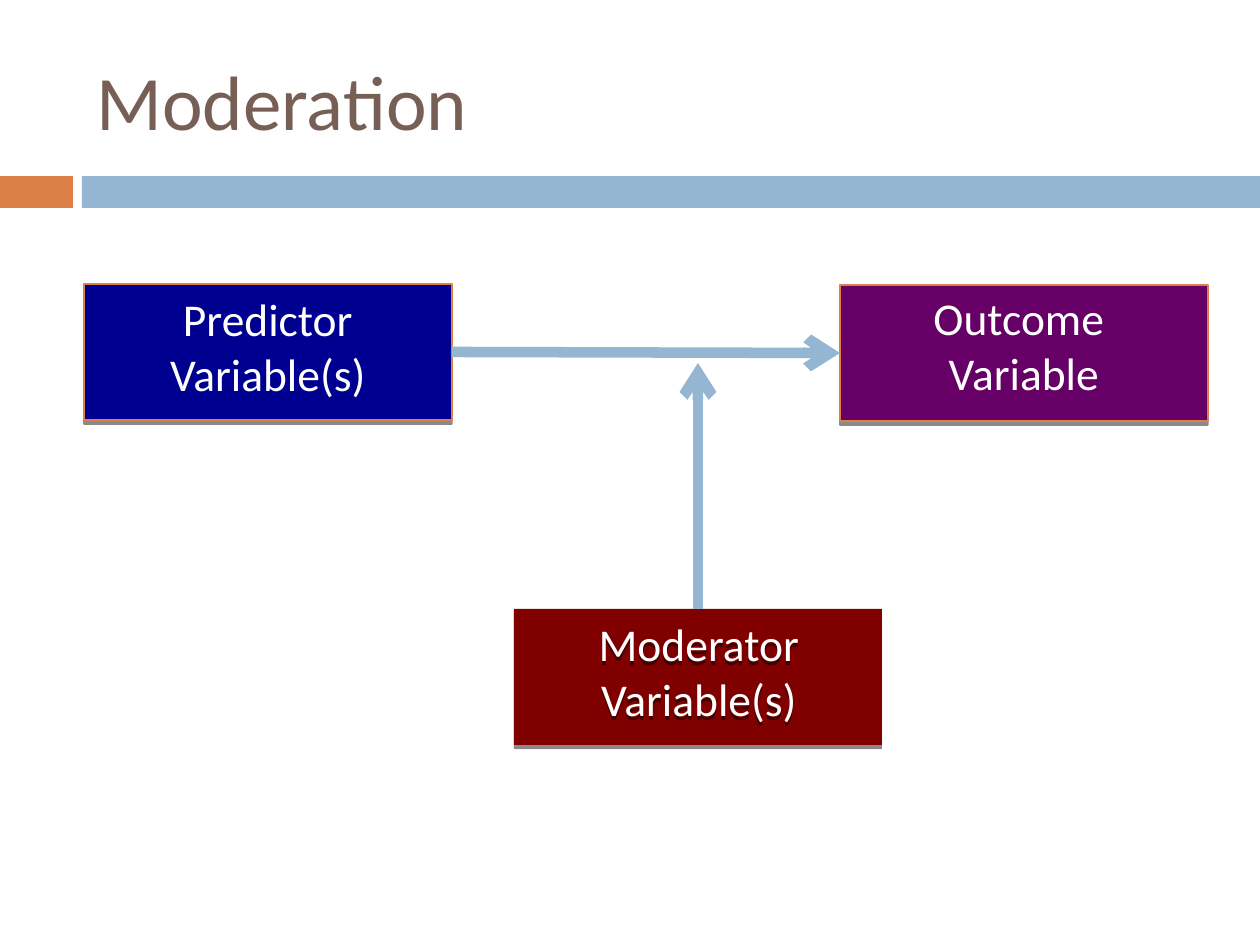
from lxml import etree
from pptx import Presentation
from pptx import util as u
from pptx.dml.color import RGBColor
from pptx.enum import shapes, text
from pptx.oxml import ns

COLORS = {
    "orange": "DD8047",
    "blue": "94B6D2",
    "brown": "775F55",
    "navy": "000090",
    "purple": "660066",
    "maroon": "800000",
    "white": "FFFFFF",
    "black": "000000",
}
SLIDE_WIDTH, SLIDE_HEIGHT = 1260, 945
BOX_WIDTH, BOX_HEIGHT, LABEL_HEIGHT = 368, 136, 122
TITLE_FORMAT = {"name": "Calibri", "size": u.Pt(44), "bold": False}
LABEL_FORMAT = {"name": "Calibri", "size": u.Pt(26)}


def emu(px):
    return u.Emu(round(px * 914400 / 126))


def rgb(name):
    return RGBColor.from_string(COLORS[name])


class SlideBuilder:
    def __init__(self, presentation):
        self.slide = presentation.slides.add_slide(presentation.slide_layouts[5])

    def set_text(self, shape, lines, font_format, color, align, anchor):
        frame = shape.text_frame
        frame.word_wrap = True
        frame.vertical_anchor = anchor
        frame.text = "\n".join(lines)
        for paragraph in frame.paragraphs:
            paragraph.alignment = align
            for run in paragraph.runs:
                for name, value in font_format.items():
                    setattr(run.font, name, value)
                run.font.color.rgb = rgb(color)

    def title(self, words, left, top, width, height):
        shape = self.slide.shapes.title
        shape.left, shape.top = emu(left), emu(top)
        shape.width, shape.height = emu(width), emu(height)
        self.set_text(shape, [words], TITLE_FORMAT, "brown",
                      text.PP_ALIGN.LEFT, text.MSO_ANCHOR.MIDDLE)
        shape.text_frame.auto_size = text.MSO_AUTO_SIZE.NONE

    def shadow(self, shape):
        shape.shadow.inherit = False
        effects = shape._element.spPr.find(ns.qn("a:effectLst"))
        outer = etree.SubElement(effects, ns.qn("a:outerShdw"),
                                 blurRad="0", dist=str(u.Pt(2.4)), dir="5400000",
                                 rotWithShape="0")
        color = etree.SubElement(outer, ns.qn("a:srgbClr"), val=COLORS["black"])
        etree.SubElement(color, ns.qn("a:alpha"), val="45000")

    def rectangle(self, left, top, width, height, fill, line=None):
        shape = self.slide.shapes.add_shape(
            shapes.MSO_SHAPE.RECTANGLE, *map(emu, (left, top, width, height)))
        shape.shadow.inherit = False
        shape.fill.solid()
        shape.fill.fore_color.rgb = rgb(fill)
        if line:
            shape.line.color.rgb = rgb(line)
            shape.line.width = u.Pt(0.79)
        else:
            shape.line.fill.background()
        return shape

    def box(self, left, top, fill, line=None):
        shape = self.rectangle(left, top, BOX_WIDTH, BOX_HEIGHT, fill, line)
        self.shadow(shape)
        return shape

    def label(self, left, top, lines, shadowed=False):
        shape = self.slide.shapes.add_textbox(
            *map(emu, (left, top, BOX_WIDTH, LABEL_HEIGHT)))
        self.set_text(shape, lines, LABEL_FORMAT, "white",
                      text.PP_ALIGN.CENTER, text.MSO_ANCHOR.TOP)
        shape.text_frame.auto_size = text.MSO_AUTO_SIZE.SHAPE_TO_FIT_TEXT
        if shadowed:
            self.shadow(shape)

    def arrow(self, start, end, source, source_side, target=None, target_side=None):
        connector = self.slide.shapes.add_connector(
            shapes.MSO_CONNECTOR.STRAIGHT, *map(emu, start + end))
        connector.begin_connect(source, source_side)
        if target is not None:
            connector.end_connect(target, target_side)
        connector.line.color.rgb = rgb("blue")
        connector.line.width = u.Pt(6)
        etree.SubElement(connector.line._get_or_add_ln(), ns.qn("a:tailEnd"), type="arrow")
        etree.SubElement(connector._element.spPr, ns.qn("a:effectLst"))


def main():
    presentation = Presentation()
    presentation.slide_width = emu(SLIDE_WIDTH)
    presentation.slide_height = emu(SLIDE_HEIGHT)
    builder = SlideBuilder(presentation)

    builder.rectangle(0, 176, 73, 32, "orange")
    builder.rectangle(82, 176, SLIDE_WIDTH - 82, 32, "blue")
    builder.title("Moderation", 84, 32, 1124, 136)

    predictor = builder.box(84, 284, "navy", "orange")
    outcome = builder.box(840, 285, "purple", "orange")
    moderator = builder.box(514, 609, "maroon")

    builder.arrow((452, 352), (840, 353), predictor, 3, outcome, 1)
    builder.arrow((698, 609), (698, 363), moderator, 0)

    builder.label(84, 285, ["Predictor", "Variable(s)"])
    builder.label(515, 610, ["Moderator", "Variable(s)"], shadowed=True)
    builder.label(840, 284, ["Outcome ", "Variable"])

    presentation.save("out.pptx")


if __name__ == "__main__":
    main()
